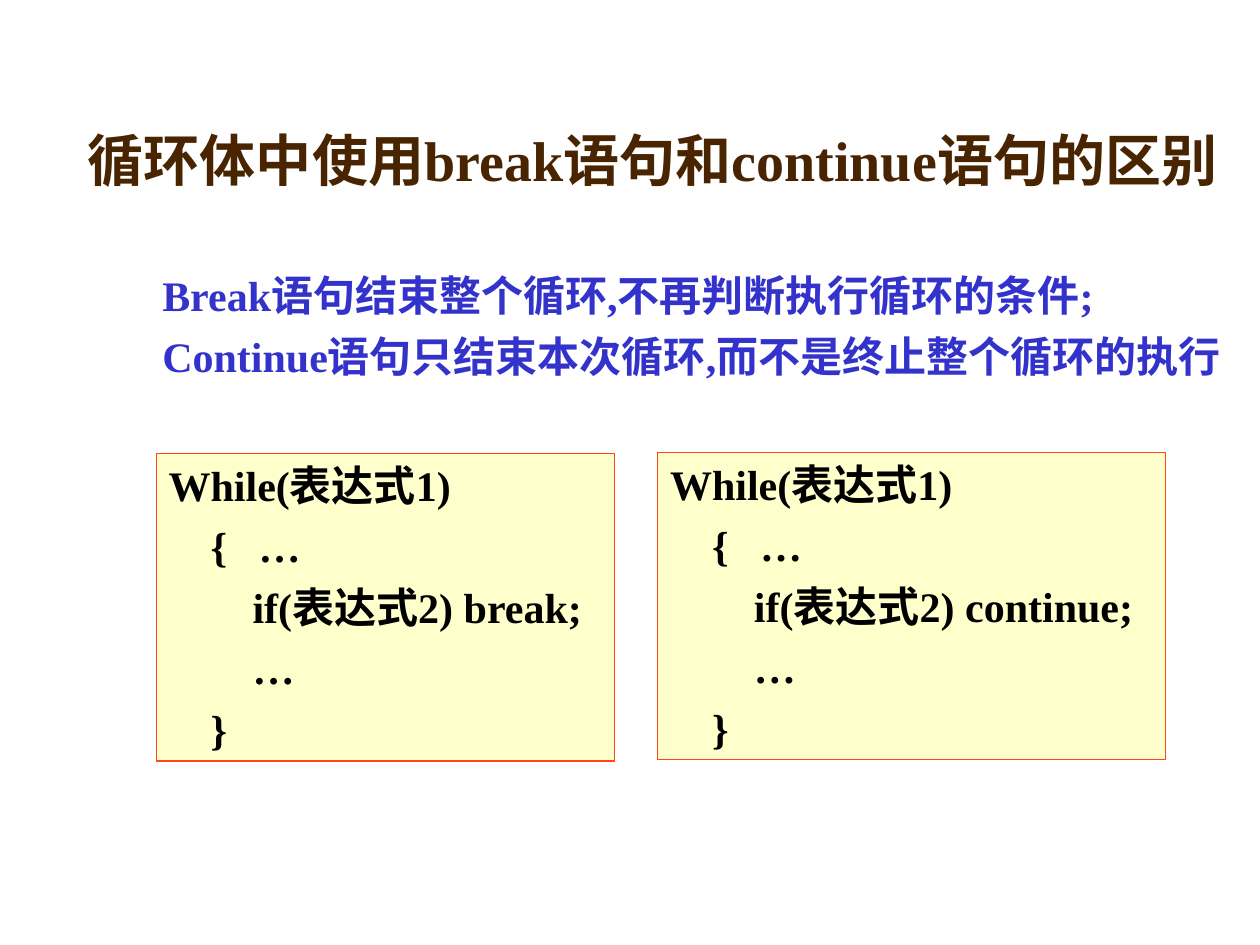
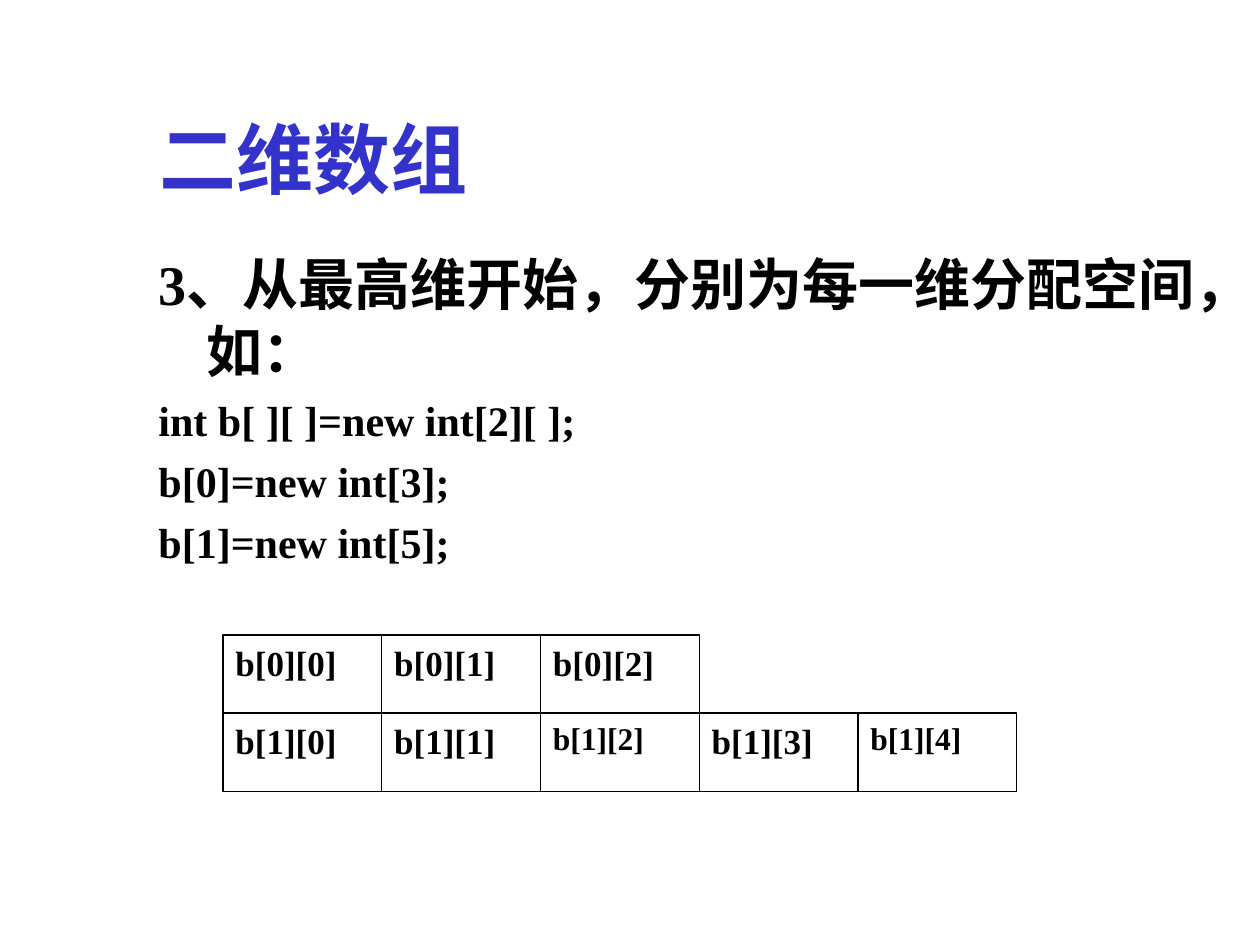
import pptx
import pptx.util
import pptx.dml.color
import pptx.enum.shapes
import pptx.enum.text
from pptx.util import Inches

COLORS = {
    "brown": "482400", "blue": "3333CC", "black": "000000",
    "white": "FFFFFF", "cream": "FFFFCC", "orange": "FF461B",
}
FONT = "Times New Roman"
ANCHOR = pptx.enum.text.MSO_ANCHOR
ALIGN = pptx.enum.text.PP_ALIGN


def rgb(name):
    return pptx.dml.color.RGBColor.from_string(COLORS[name])


def add_lines(box, lines, color, align=ALIGN.LEFT, hang=None):
    """Write (text, size) lines; hang is (left margin, first-line indent)."""
    frame = box.text_frame
    for number, (text, size) in enumerate(lines):
        para = frame.paragraphs[0] if number == 0 else frame.add_paragraph()
        para.alignment = align
        if number:
            para.space_before = pptx.util.Pt(6)
        if hang:
            properties = para._p.get_or_add_pPr()
            properties.set("marL", str(Inches(hang[0])))
            properties.set("indent", str(Inches(hang[1])))
        span = para.add_run()
        span.text = text
        span.font.name = FONT
        span.font.size = pptx.util.Pt(size)
        span.font.bold = True
        span.font.color.rgb = rgb(color)


def add_text(page, area, lines, color, anchor=ANCHOR.TOP, hang=None):
    box = page.shapes.add_textbox(*map(Inches, area))
    box.text_frame.word_wrap = True
    box.text_frame.vertical_anchor = anchor
    add_lines(box, lines, color, hang=hang)


def add_title(page, area, text, size, color):
    add_text(page, area, [(text, size)], color, ANCHOR.BOTTOM)


def add_panel(shapes, area, fill, line):
    """Outlined rectangle with text starting at its top left."""
    panel = shapes.add_shape(
        pptx.enum.shapes.MSO_SHAPE.RECTANGLE, *map(Inches, area))
    panel.shadow.inherit = False
    panel.fill.solid()
    panel.fill.fore_color.rgb = rgb(fill)
    panel.line.color.rgb = rgb(line)
    panel.line.width = pptx.util.Pt(0.75)
    panel.text_frame.vertical_anchor = ANCHOR.TOP
    return panel


def add_loop_code(page, area, keyword):
    panel = add_panel(page.shapes, area, "cream", "orange")
    panel.text_frame.word_wrap = False
    # A thin right inset leaves the longest line room to stay whole.
    panel.text_frame.margin_right = Inches(0.02)
    code = ["While(表达式1)", "    {   …",
            f"        if(表达式2) {keyword};", "        …", "    }"]
    add_lines(panel, [(line, 24) for line in code], "black")


def add_array_grid(page, left, top, row_lengths, small_cells):
    """Ragged array: one row of equal cells for each length."""
    width, height = 1.26, 0.62
    group = page.shapes.add_group_shape()
    for row, length in enumerate(row_lengths):
        for column in range(length):
            area = (left + column * width, top + row * height, width, height)
            cell = add_panel(group.shapes, area, "white", "black")
            cell.text_frame.word_wrap = True
            size = 18 if (row, column) in small_cells else 20
            add_lines(cell, [(f"b[{row}][{column}]", size)], "black",
                      ALIGN.JUSTIFY)


def build_loop_page(page):
    add_title(page, (0.6, 0.82, 9.4, 0.76),
              "循环体中使用break语句和continue语句的区别", 32, "brown")
    add_text(page, (0.86, 2.09, 9.14, 3.39), [
        ("Break语句结束整个循环,不再判断执行循环的条件;", 24),
        ("Continue语句只结束本次循环,而不是终止整个循环的执行", 24),
    ], "blue", hang=(0.38, -0.05))
    add_loop_code(page, (1.24, 3.6, 3.64, 2.44), "break")
    add_loop_code(page, (5.22, 3.59, 4.03, 2.44), "continue")


def build_array_page(page):
    add_title(page, (1.17, 0.42, 8.5, 1.25), "二维数组", 44, "blue")
    add_text(page, (1.16, 1.93, 8.5, 4.5), [
        ("3、从最高维开始，分别为每一维分配空间，如：", 32),
        ("int b[ ][ ]=new int[2][ ];", 24),
        ("b[0]=new int[3];", 24),
        ("b[1]=new int[5];", 24),
    ], "black", hang=(0.38, -0.38))
    add_array_grid(page, 1.77, 5.04, (3, 5), {(1, 2), (1, 4)})


def main():
    deck = pptx.Presentation()
    deck.slide_width, deck.slide_height = Inches(10), Inches(7.5)
    for build in (build_loop_page, build_array_page):
        build(deck.slides.add_slide(deck.slide_layouts[6]))
    deck.save("out.pptx")


if __name__ == "__main__":
    main()
